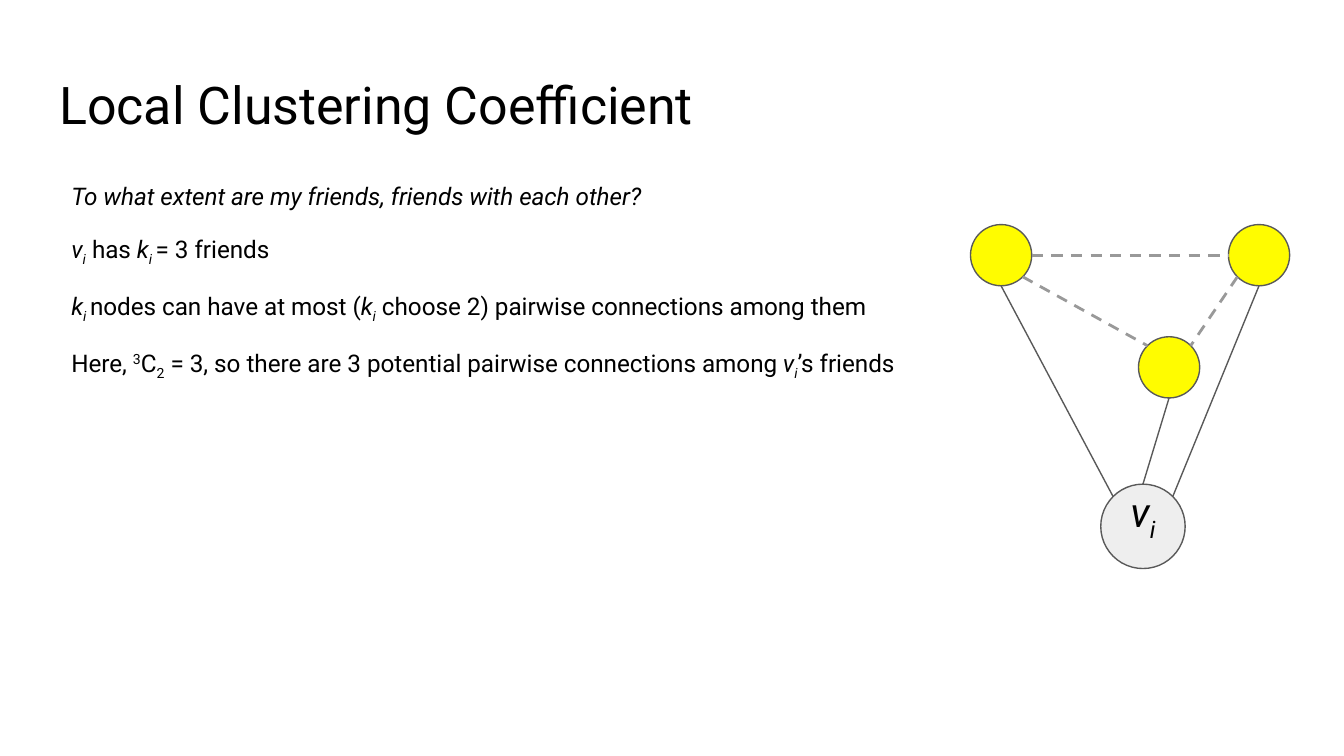
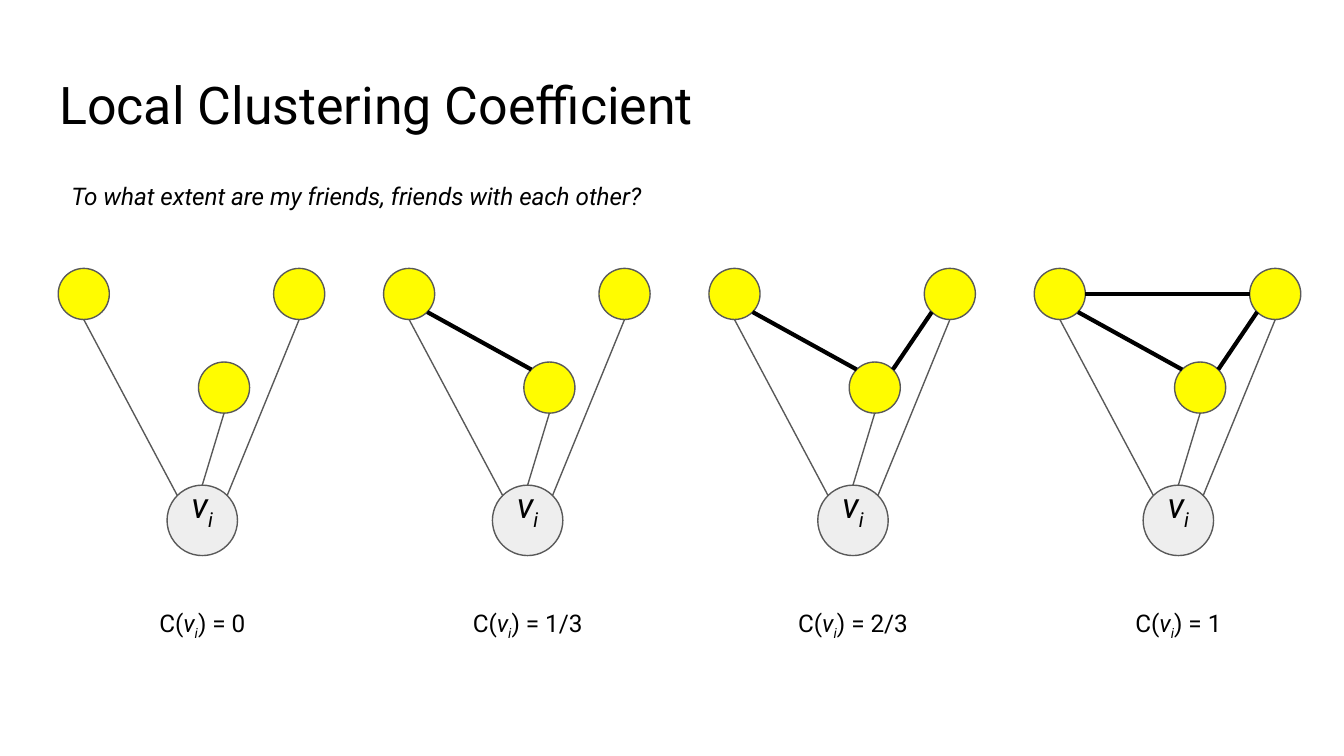
from math import cos, radians, sin

from lxml import etree
from pptx import Presentation
from pptx.dml.color import RGBColor
from pptx.enum.dml import MSO_LINE
from pptx.enum.shapes import MSO_CONNECTOR, MSO_SHAPE
from pptx.enum.text import MSO_ANCHOR, MSO_AUTO_SIZE, PP_ALIGN
from pptx.oxml.ns import qn
from pptx.util import Pt

BLACK = RGBColor(0x00, 0x00, 0x00)
OUTLINE = RGBColor(0x59, 0x59, 0x59)
POTENTIAL = RGBColor(0x99, 0x99, 0x99)
HUB_FILL = RGBColor(0xEE, 0xEE, 0xEE)
FRIEND_FILL = RGBColor(0xFF, 0xFC, 0x00)

FONT = "Roboto"
TITLE_SIZE, BODY_SIZE = 27.8, 13
INSET = 7.2

ELLIPSE, STRAIGHT, DASH = MSO_SHAPE.OVAL, MSO_CONNECTOR.STRAIGHT, MSO_LINE.DASH
LEFT, CENTER = PP_ALIGN.LEFT, PP_ALIGN.CENTER
TOP, MIDDLE, BOTTOM = MSO_ANCHOR.TOP, MSO_ANCHOR.MIDDLE, MSO_ANCHOR.BOTTOM
FIXED, GROW = MSO_AUTO_SIZE.NONE, MSO_AUTO_SIZE.SHAPE_TO_FIT_TEXT

# Connection sites of an ellipse run counter-clockwise from the top.
N, NW, W, SW, S, SE, E, NE = range(8)

# Graph at full scale: offsets from the top left friend, and diameters.
FRIENDS = {"left": (0, 0), "right": (138.2, 0), "mid": (90, 60.1)}
FRIEND_D = 32.8
HUB_AT, HUB_D = (69.8, 139.1), 45.2
HUB_LINKS = [("left", S, "hub", NW), ("right", S, "hub", NE), ("mid", S, "hub", N)]
FRIEND_LINKS = [("left", SE, "mid", NW), ("right", SW, "mid", NE), ("left", E, "right", W)]

# A run is (text, italic, baseline in percent).
V_I = [("v", True, 0), ("i", True, -25)]
K_I = [("k", True, 0), ("i", True, -25)]
K_I_SPACE = [("k", True, 0), ("i ", True, -25)]
QUESTION = [("To what extent are my friends, friends with each other?", True, 0)]
EXPLANATION = [
    QUESTION,
    [*V_I, (" has ", False, 0), *K_I_SPACE, ("= 3 friends", False, 0)],
    [*K_I_SPACE, ("nodes can have at most (", False, 0), *K_I,
     (" choose 2) pairwise connections among them", False, 0)],
    [("Here, ", False, 0), ("3", False, 30), ("C", False, 0), ("2", False, -25),
     (" = 3, so there are 3 potential pairwise connections among ", False, 0),
     *V_I, ("’s friends", False, 0)],
]
COEFFICIENTS = ["0", "1/3", "2/3", "1"]


class Deck:
    def __init__(self):
        self.prs = Presentation()
        self.prs.slide_width, self.prs.slide_height = Pt(720), Pt(405)
        self.s = None

    def slide(self, title, paragraphs, body_height):
        self.s = self.prs.slides.add_slide(self.prs.slide_layouts[1])
        heading, body = self.s.placeholders
        self.place(heading, 24.5, 35.3, 671, 45.4)
        self.frame(heading, TOP)
        self.add_text(heading, [[(title, False, 0)]], TITLE_SIZE, LEFT, 0.9)
        self.place(body, 31, 87.8, 464.4, body_height)
        self.frame(body, TOP, GROW)
        self.add_text(body, paragraphs, BODY_SIZE, LEFT, 1.15, gap=10)

    def place(self, sp, left, top, width, height):
        sp.left, sp.top, sp.width, sp.height = map(Pt, (left, top, width, height))

    def frame(self, sp, anchor, auto_size=FIXED, wrap=True):
        tf = sp.text_frame
        tf.word_wrap, tf.auto_size, tf.vertical_anchor = wrap, auto_size, anchor
        tf.margin_left = tf.margin_right = tf.margin_top = tf.margin_bottom = Pt(INSET)

    def add_text(self, sp, paragraphs, size, align, spacing=1.0, gap=0):
        """Add lists of runs as unbulleted paragraphs, gap points apart."""
        tf = sp.text_frame
        for i, runs in enumerate(paragraphs):
            p = tf.add_paragraph() if i else tf.paragraphs[0]
            p.alignment, p.line_spacing = align, spacing
            p.space_before = Pt(gap if i else 0)
            p.space_after = Pt(gap if i == len(paragraphs) - 1 else 0)
            pPr = p._p.get_or_add_pPr()
            pPr.set("marL", "0")
            pPr.set("indent", "0")
            etree.SubElement(pPr, qn("a:buNone"))
            for text, italic, baseline in runs:
                r = p.add_run()
                r.text = text
                r.font.name, r.font.size, r.font.italic = FONT, Pt(size), italic
                r.font.color.rgb = BLACK
                if baseline:
                    r._r.get_or_add_rPr().set("baseline", str(baseline * 1000))

    def label(self, runs, center, top, width=106.6, height=30.2):
        sp = self.s.shapes.add_textbox(Pt(center - width / 2), Pt(top), Pt(width), Pt(height))
        self.frame(sp, MIDDLE)
        self.add_text(sp, [runs], BODY_SIZE, CENTER, 1.15, gap=10)

    def node(self, left, top, diameter, fill):
        sp = self.s.shapes.add_shape(ELLIPSE, Pt(left), Pt(top), Pt(diameter), Pt(diameter))
        sp.shadow.inherit = False
        sp.fill.solid()
        sp.fill.fore_color.rgb = fill
        sp.line.color.rgb, sp.line.width = OUTLINE, Pt(0.75)
        return sp

    def site(self, sp, index):
        """Return the point of a connection site on a circle."""
        radius, angle = sp.width / 2, radians(90 + 45 * index)
        return (round(sp.left + radius * (1 + cos(angle))),
                round(sp.top + radius * (1 - sin(angle))))

    def link(self, start, start_site, end, end_site, color, width, dash=None):
        c = self.s.shapes.add_connector(
            STRAIGHT, *self.site(start, start_site), *self.site(end, end_site))
        c.line.color.rgb, c.line.width = color, Pt(width)
        if dash:
            c.line.dash_style = dash
        etree.SubElement(c._element.spPr, qn("a:effectLst"))
        # begin_connect knows four sites only, a circle has eight
        joins = c._element.nvCxnSpPr.cNvCxnSpPr
        for tag, sp, index in (("a:stCxn", start, start_site), ("a:endCxn", end, end_site)):
            etree.SubElement(joins, qn(tag), id=str(sp.shape_id), idx=str(index))

    def graph(self, left, top, scale, hub_size, links, link_style):
        """Draw the hub, its three friends and the given links among them."""
        hub = self.node(left + HUB_AT[0] * scale, top + HUB_AT[1] * scale,
                        HUB_D * scale, HUB_FILL)
        self.frame(hub, BOTTOM, wrap=False)
        self.add_text(hub, [V_I], hub_size, CENTER)
        nodes = {"hub": hub}
        for name, (x, y) in FRIENDS.items():
            nodes[name] = self.node(left + x * scale, top + y * scale,
                                    FRIEND_D * scale, FRIEND_FILL)
        for group, style in ((HUB_LINKS, (OUTLINE, 0.75)), (links, link_style)):
            for start, start_site, end, end_site in group:
                self.link(nodes[start], start_site, nodes[end], end_site, *style)


def main():
    deck = Deck()
    title = "Local Clustering Coefficient"

    deck.slide(title, EXPLANATION, 115.2)
    deck.graph(519.9, 120.3, 1, 22, FRIEND_LINKS, (POTENTIAL, 1.5, DASH))

    deck.slide(title, [QUESTION], 30.2)
    scale, pitch = 0.835, 174.3
    for count, value in enumerate(COEFFICIENTS):
        left = 31.2 + count * pitch
        deck.graph(left, 143.8, scale, 19, FRIEND_LINKS[:count], (BLACK, 2.25))
        hub_center = left + (HUB_AT[0] + HUB_D / 2) * scale
        deck.label([("C(", False, 0), *V_I, (f") = {value}", False, 0)], hub_center, 318.2)

    deck.prs.save("out.pptx")


if __name__ == "__main__":
    main()
